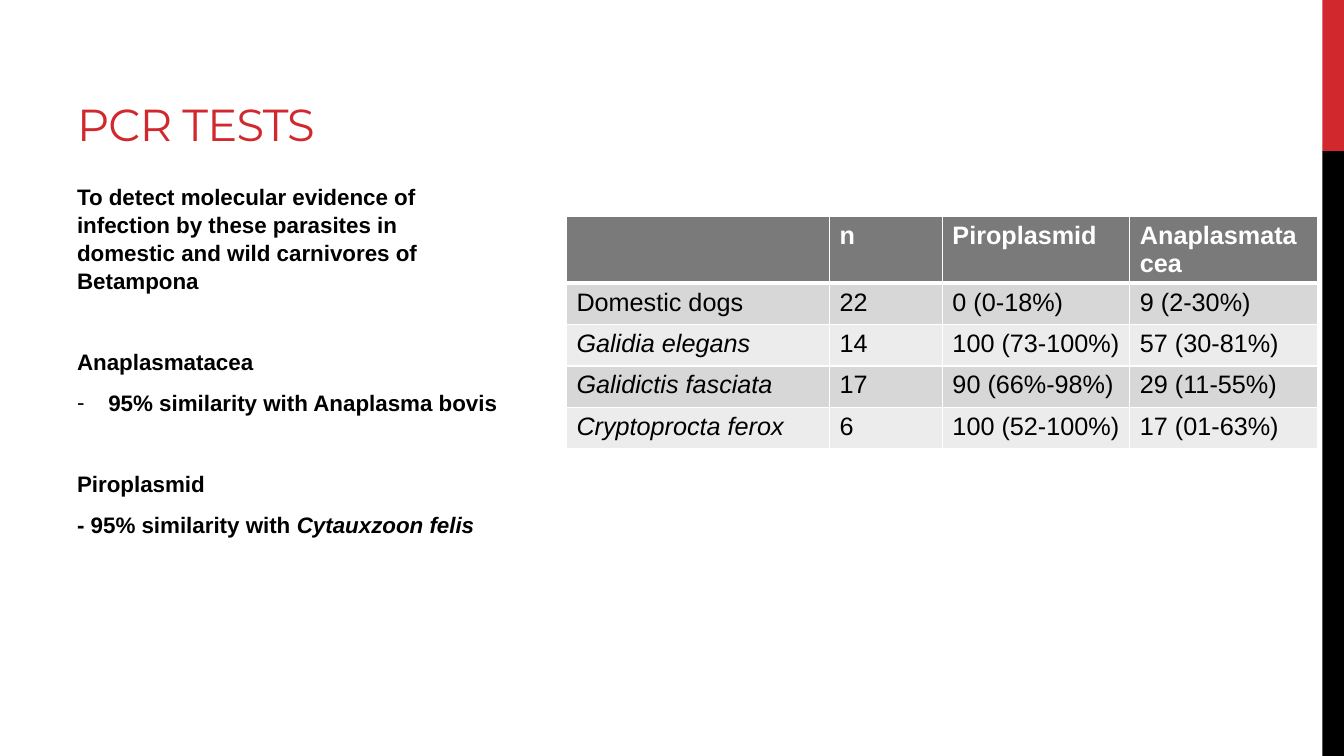
from lxml import etree
from pptx import Presentation
from pptx import util as u
from pptx.dml.color import RGBColor
from pptx.enum import shapes, text
from pptx.oxml.ns import qn

WIDE, HIGH = u.Inches(13.333), u.Inches(7.5)
COLS, ROWS = 200, 100
INK = {"red": "D1282E", "black": "000000", "white": "FFFFFF",
       "head": "7A7A7A", "odd": "D7D7D7", "even": "ECECEC"}
SPANS = [39.15, 16.8, 27.9, 27.9]
TESTS = [
    ["", "n", "Piroplasmid", "Anaplasmatacea"],
    ["Domestic dogs", "22", "0 (0-18%)", "9 (2-30%)"],
    ["Galidia elegans", "14", "100 (73-100%)", "57 (30-81%)"],
    ["Galidictis fasciata", "17", "90 (66%-98%)", "29 (11-55%)"],
    ["Cryptoprocta ferox", "6", "100 (52-100%)", "17 (01-63%)"],
]
GAP, BREAK = 3.2, 31.7
NOTES = [
    (0, False, [("To detect molecular evidence of infection by these parasites "
                 "in domestic and wild carnivores of Betampona", False)]),
    (BREAK, False, [("Anaplasmatacea", False)]),
    (GAP, True, [("95% similarity with Anaplasma bovis", False)]),
    (BREAK, False, [("Piroplasmid", False)]),
    (GAP, False, [("- 95% similarity with ", False), ("Cytauxzoon felis", True)]),
]


def col(n):
    return u.Emu(round(WIDE * n / COLS))


def row(n):
    return u.Emu(round(HIGH * n / ROWS))


def area(x, y, w, h):
    return col(x), row(y), col(w), row(h)


def tint(name):
    return RGBColor.from_string(INK[name])


def add_run(para, words, size, ink, face="Arial", bold=False, slant=False):
    run = para.add_run()
    run.text = words
    font = run.font
    font.size, font.name = u.Pt(size), face
    font.bold, font.italic = bold, slant
    font.color.rgb = tint(ink)
    return run


def add_bar(slide, y, h, ink):
    bar = slide.shapes.add_shape(shapes.MSO_SHAPE.RECTANGLE, *area(196.8, y, 3.2, h))
    bar.shadow.inherit = False
    bar.fill.solid()
    bar.fill.fore_color.rgb = tint(ink)
    bar.line.fill.background()


def add_box(slide, *place):
    frame = slide.shapes.add_textbox(*area(*place)).text_frame
    frame.word_wrap = True
    return frame


def add_title(slide, words):
    frame = add_box(slide, 10, 2.27, 180, 18.27)
    frame.vertical_anchor = text.MSO_ANCHOR.BOTTOM
    run = add_run(frame.paragraphs[0], words, 32, "red", "Montserrat")
    run.font._element.set("spc", "-60")


def add_dash(para):
    props = para._p.get_or_add_pPr()
    props.set("marL", str(u.Inches(0.31)))
    props.set("indent", str(-u.Inches(0.31)))
    etree.SubElement(props, qn("a:buFont"), typeface="Arial")
    etree.SubElement(props, qn("a:buChar"), char="-")


def add_notes(slide):
    frame = add_box(slide, 10, 23.33, 65.85, 65.33)
    for i, (gap, dash, runs) in enumerate(NOTES):
        para = frame.add_paragraph() if i else frame.paragraphs[0]
        para.line_spacing = 1.05
        para.space_before, para.space_after = u.Pt(gap), u.Pt(6)
        if dash:
            add_dash(para)
        for words, slant in runs:
            add_run(para, words, 16, "black", bold=True, slant=slant)


def add_edges(cell, r):
    props = cell._tc.get_or_add_tcPr()
    thick = {(0, "B"), (1, "T")}
    for side in "LRTB":
        width = u.Pt(3 if (r, side) in thick else 1)
        line = etree.SubElement(props, qn("a:ln" + side), w=str(width))
        fill = etree.SubElement(line, qn("a:solidFill"))
        etree.SubElement(fill, qn("a:srgbClr"), val=INK["white"])


def add_grid(slide):
    tall = [8.7] + [5.47] * (len(TESTS) - 1)
    place = area(84.3, 28.67, sum(SPANS), sum(tall))
    table = slide.shapes.add_table(len(TESTS), len(SPANS), *place).table
    for c, span in enumerate(SPANS):
        table.columns[c].width = col(span)
    for r, line in enumerate(TESTS):
        table.rows[r].height = row(tall[r])
        head = r == 0
        shade = "head" if head else "odd" if r % 2 else "even"
        for c, words in enumerate(line):
            cell = table.cell(r, c)
            add_edges(cell, r)
            cell.fill.solid()
            cell.fill.fore_color.rgb = tint(shade)
            if words:
                add_run(cell.text_frame.paragraphs[0], words, 18,
                        "white" if head else "black",
                        bold=head, slant=c == 0 and r > 1)


def main():
    deck = Presentation()
    deck.slide_width, deck.slide_height = WIDE, HIGH
    slide = deck.slides.add_slide(deck.slide_layouts[6])
    add_bar(slide, 0, 20, "red")
    add_bar(slide, 20, 80, "black")
    add_grid(slide)
    add_notes(slide)
    add_title(slide, "PCR TESTS")
    deck.save("out.pptx")


if __name__ == "__main__":
    main()
